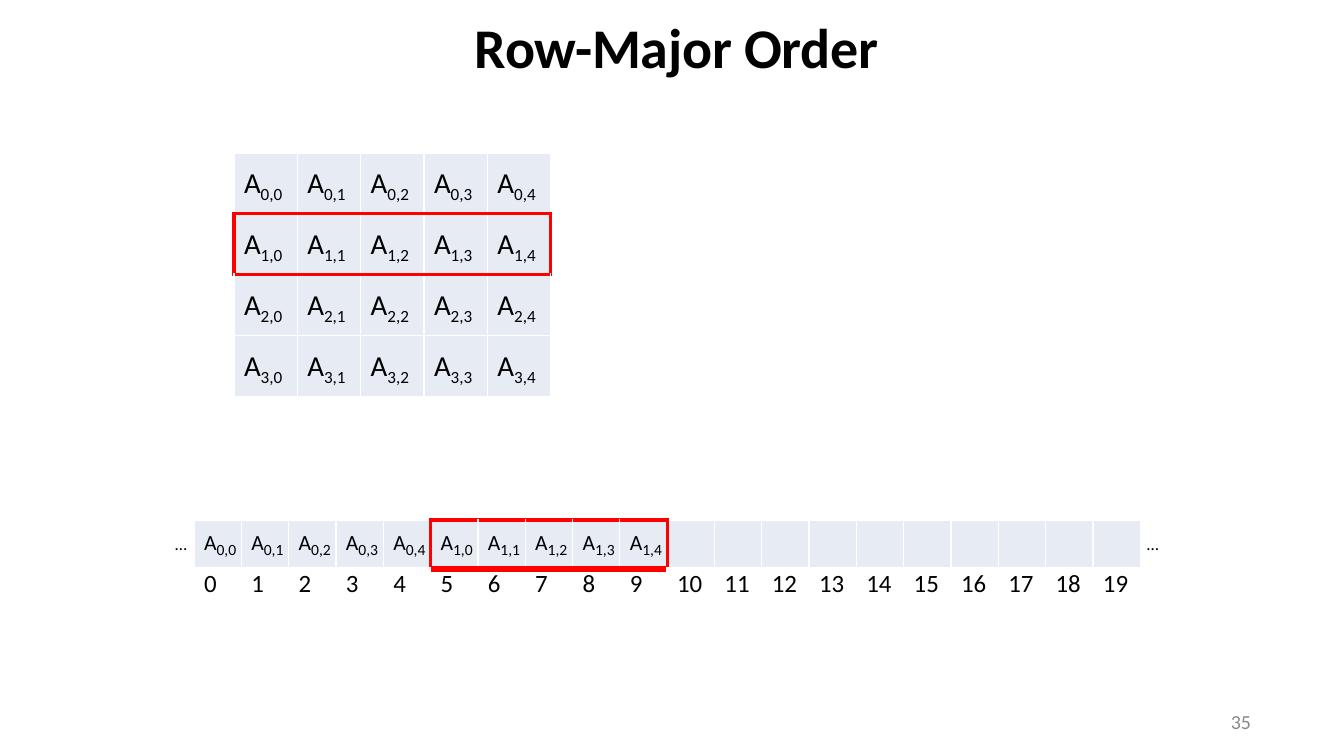
from dataclasses import dataclass
from typing import Optional

from lxml.etree import SubElement
from pptx import Presentation
from pptx.dml.color import RGBColor
from pptx.enum.text import MSO_ANCHOR as Anchor, MSO_AUTO_SIZE as Fit, PP_ALIGN as Align
from pptx.oxml.ns import qn
from pptx.util import Emu, Pt

SCALE = 914400 / 112
FONT = "Calibri"
BLACK = RGBColor(0x00, 0x00, 0x00)
GRAY = RGBColor(0x89, 0x89, 0x89)
WHITE = RGBColor(0xFF, 0xFF, 0xFF)
RED = RGBColor(0xFF, 0x00, 0x00)
PALE = RGBColor(0xE7, 0xEB, 0xF3)
SIDES = {"L": (0, -1), "R": (0, 1), "T": (-1, 0), "B": (1, 0)}


@dataclass(frozen=True)
class Grid:
    left: int
    top: int
    width: int
    row_h: int
    rows: list[list[str]]
    marks: set[tuple[int, int]]
    big: int
    small: int
    index: Optional[int] = None


@dataclass(frozen=True)
class Label:
    text: str
    left: int
    top: int
    width: int
    height: int
    size: float
    color: RGBColor = BLACK
    align: Align = Align.LEFT
    anchor: Anchor = Anchor.TOP


def px(num: float) -> Emu:
    return Emu(round(num * SCALE))


def style(para, size: float, color: RGBColor = BLACK, bold: bool = False) -> None:
    font = para.font
    font.name, font.size, font.bold = FONT, Pt(size), bold
    font.color.rgb = color


def inset(frame) -> None:
    frame.margin_left = frame.margin_right = 0
    frame.margin_top = frame.margin_bottom = 0


def edge(cell, side: str, color: RGBColor, width: float) -> None:
    line = SubElement(cell._tc.get_or_add_tcPr(), qn(f"a:ln{side}"), w=str(Pt(width)))
    fill = SubElement(line, qn("a:solidFill"))
    SubElement(fill, qn("a:srgbClr"), val=str(color))


def border(cell, grid: Grid, row: int, col: int) -> None:
    for side, (down, over) in SIDES.items():
        red = ((row, col) in grid.marks) != ((row + down, col + over) in grid.marks)
        thick = grid.index is not None and (row, side) in {
            (grid.index - 1, "B"), (grid.index, "T")}
        white_w, red_w = (3.16, 3.78) if thick else (1, 2.25)
        edge(cell, side, RED if red else WHITE, red_w if red else white_w)


def write(cell, text: str, grid: Grid) -> None:
    para = cell.text_frame.paragraphs[0]
    para._p.get_or_add_pPr().set("marL", str(px(10)))
    if text.startswith("A"):
        head = para.add_run()
        head.text = "A"
        head.font.size = Pt(grid.big)
        head.font._element.set("baseline", "13000")
        tail = para.add_run()
        tail.text = text[1:]
        tail.font.size = Pt(grid.small)
        style(para, grid.small)
    else:
        para.text = text
        style(para, 16)


def draw_grid(slide, grid: Grid) -> None:
    count, cols = len(grid.rows), len(grid.rows[0])
    table = slide.shapes.add_table(count, cols, px(grid.left), px(grid.top),
                                   px(grid.width), px(grid.row_h * count)).table
    table.first_row = table.horz_banding = False
    for col in table.columns:
        col.width = px(grid.width / cols)
    for i, texts in enumerate(grid.rows):
        table.rows[i].height = px(grid.row_h)
        for j, text in enumerate(texts):
            cell = table.cell(i, j)
            inset(cell)
            border(cell, grid, i, j)
            if i == grid.index:
                cell.fill.background()
            else:
                cell.fill.solid()
                cell.fill.fore_color.rgb = PALE
            write(cell, text, grid)


def draw_label(slide, label: Label) -> None:
    box = slide.shapes.add_textbox(px(label.left), px(label.top),
                                   px(label.width), px(label.height))
    frame = box.text_frame
    inset(frame)
    frame.word_wrap = True
    frame.vertical_anchor = label.anchor
    para = frame.paragraphs[0]
    para.text, para.alignment = label.text, label.align
    style(para, label.size, label.color)


def draw_title(slide, text: str) -> None:
    title = slide.shapes.title
    title.left, title.top, title.width, title.height = px(443), px(15), px(467), px(62)
    frame = title.text_frame
    inset(frame)
    frame.auto_size = Fit.NONE
    frame.vertical_anchor = Anchor.MIDDLE
    para = frame.paragraphs[0]
    para.text, para.alignment = text, Align.CENTER
    style(para, 36, bold=True)
    para.runs[0].font._element.set("spc", "-20")


def main() -> None:
    deck = Presentation()
    deck.slide_width, deck.slide_height = px(1344), px(756)
    slide = deck.slides.add_slide(deck.slide_layouts[5])
    draw_title(slide, "Row-Major Order")

    items = [[f"A{i},{j}" for j in range(5)] for i in range(4)]
    slots = items[0] + items[1] + [""] * 10
    places = [str(n) for n in range(20)]
    draw_grid(slide, Grid(234, 153, 317, 56, items, {(1, j) for j in range(5)}, 32, 11))
    draw_grid(slide, Grid(194, 520, 947, 49, [slots, places],
                          {(0, j) for j in range(5, 10)}, 24, 10, index=1))

    for left in (175, 1147):
        draw_label(slide, Label("…", left, 533, 19, 21, 11))
    draw_label(slide, Label("35", 949, 702, 302, 40, 12.8, GRAY,
                            Align.RIGHT, Anchor.MIDDLE))
    deck.save("out.pptx")


if __name__ == "__main__":
    main()
